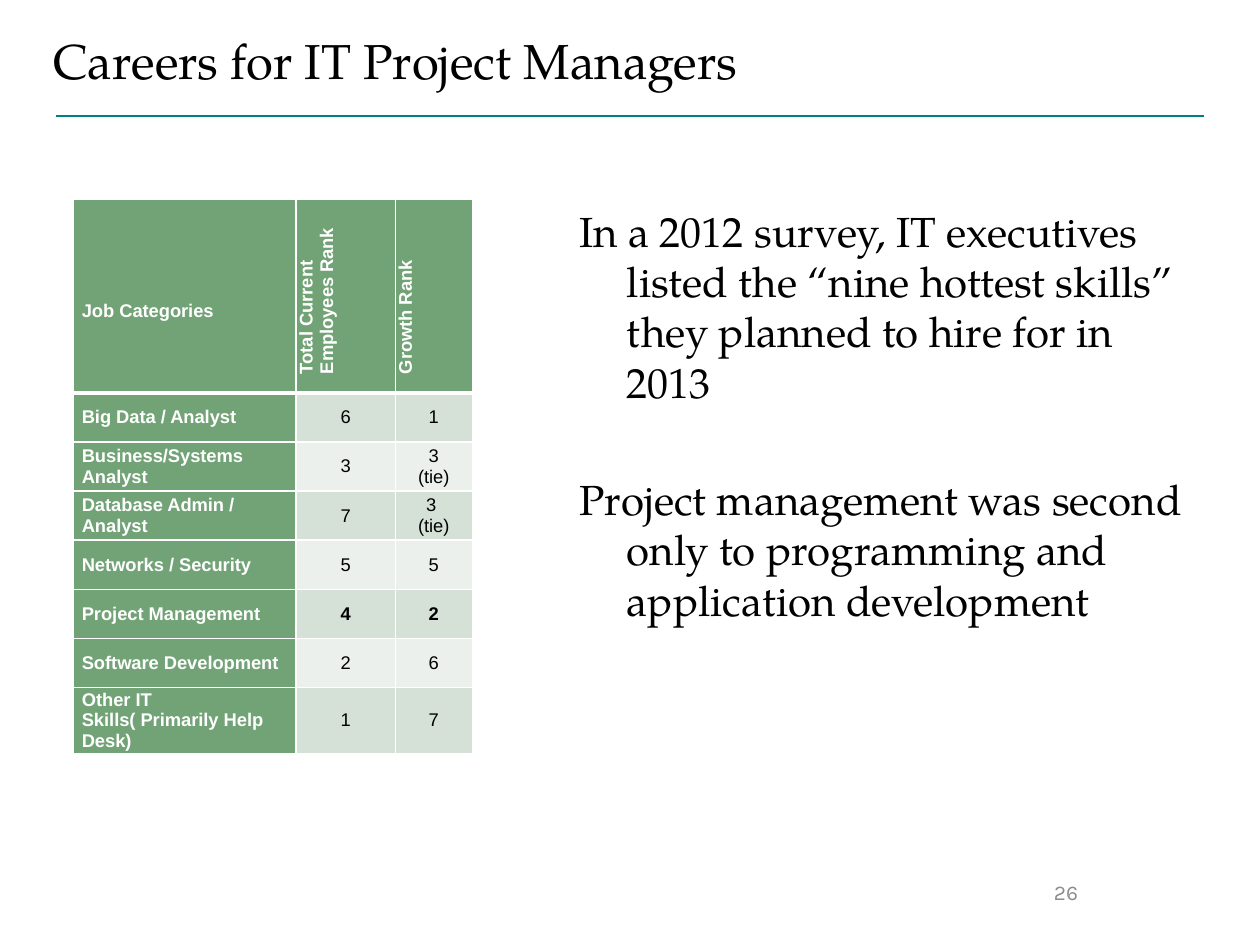
from lxml.etree import SubElement
from pptx import Presentation
from pptx.dml.color import RGBColor
from pptx.enum.shapes import MSO_CONNECTOR
from pptx.enum.text import MSO_ANCHOR, MSO_AUTO_SIZE, PP_ALIGN
from pptx.oxml.ns import qn
from pptx.util import Cm, Pt

COLORS = {"teal": "008080", "green": "72A376", "dark": "D5E0D6",
          "light": "EBF0EC", "white": "FFFFFF", "black": "000000",
          "gray": "8C8C8C"}
SERIF = "TeX Gyre Pagella"


def style(para, name, size, color, bold=False, align=PP_ALIGN.LEFT):
    para.alignment = align
    font = para.font
    font.name, font.size, font.bold = name, Pt(size), bold
    font.color.rgb = RGBColor.from_string(COLORS[color])


def edge(cell, side, width):
    line = SubElement(cell._tc.get_or_add_tcPr(), qn(f"a:ln{side}"), w=str(Pt(width)))
    fill = SubElement(line, qn("a:solidFill"))
    SubElement(fill, qn("a:srgbClr"), val=COLORS["white"])


deck = Presentation()
deck.slide_width, deck.slide_height = Cm(25.4), Cm(19.05)
slide = deck.slides.add_slide(deck.slide_layouts[5])
shapes = slide.shapes

# Title
title = shapes.title
title.left, title.top, title.width, title.height = Cm(1.07), Cm(1.07), Cm(23.16), Cm(0.86)
frame = title.text_frame
frame.text = "Careers for IT Project Managers"
frame.auto_size = MSO_AUTO_SIZE.NONE
frame.vertical_anchor = MSO_ANCHOR.BOTTOM
frame.margin_left = frame.margin_right = frame.margin_top = 0
frame.margin_bottom = Cm(0.13)
style(frame.paragraphs[0], SERIF, 28, "black")

# Rule under the title
rule = shapes.add_connector(MSO_CONNECTOR.STRAIGHT, Cm(1.12), Cm(2.34), Cm(24.28), Cm(2.34))
rule.line.color.rgb = RGBColor.from_string(COLORS["teal"])
rule.line.width = Pt(1.5)
SubElement(rule._element.spPr, qn("a:effectLst"))

# Survey text with hanging indents
body = shapes.add_textbox(Cm(11.43), Cm(4.01), Cm(12.9), Cm(11.94)).text_frame
body.word_wrap = True
body.text = (
    "In a 2012 survey, IT executives listed the “nine hottest skills” "
    "they planned to hire for in 2013\n"
    "Project management was second only to programming and application development")
for para, gap in zip(body.paragraphs, (4.8, 38)):
    style(para, SERIF, 24, "black")
    para.space_before = Pt(gap)
    props = para._p.get_or_add_pPr()
    props.set("marL", str(Cm(0.96)))
    props.set("indent", str(Cm(-0.96)))

# Table of job ranks
ROWS = [
    ("Job Categories", "Total Current\nEmployees Rank", "Growth Rank"),
    ("Big Data / Analyst", "6", "1"),
    ("Business/Systems Analyst", "3", "3\n(tie)"),
    ("Database Admin / Analyst", "7", "3 \n(tie)"),
    ("Networks / Security", "5", "5"),
    ("Project Management", "4", "2"),
    ("Software Development", "2", "6"),
    ("Other IT Skills( Primarily Help Desk)", "1", "7"),
]
WIDTHS = (4.5, 2.0, 1.55)
HEIGHTS = [3.91] + [0.99] * 6 + [1.23]
grid = shapes.add_table(len(ROWS), len(WIDTHS), Cm(1.47), Cm(4.01),
                        Cm(sum(WIDTHS)), Cm(sum(HEIGHTS))).table
for col, width in zip(grid.columns, WIDTHS):
    col.width = Cm(width)
for row, height in zip(grid.rows, HEIGHTS):
    row.height = Cm(height)

for r, texts in enumerate(ROWS):
    for c, text in enumerate(texts):
        cell = grid.cell(r, c)
        head, label = r == 0, r == 0 or c == 0
        cell.text = text
        cell.margin_left = cell.margin_right = Cm(0.18)
        cell.margin_top = cell.margin_bottom = 0
        cell.vertical_anchor = MSO_ANCHOR.MIDDLE
        for side in "LRTB":
            thick = (r, side) in ((0, "B"), (1, "T"))
            edge(cell, side, 3 if thick else 1)
        cell.fill.solid()
        shade = "green" if label else "dark" if r % 2 else "light"
        cell.fill.fore_color.rgb = RGBColor.from_string(COLORS[shade])
        for para in cell.text_frame.paragraphs:
            style(para, "Arial", 10.5, "white" if label else "black",
                  label or texts[0] == "Project Management",
                  PP_ALIGN.LEFT if label else PP_ALIGN.CENTER)
            if head and c:
                para._p.get_or_add_pPr().set("marL", str(Cm(0.2)))
        if head and c:
            cell._tc.get_or_add_tcPr().set("vert", "vert270")
        elif head:
            cell.vertical_anchor = MSO_ANCHOR.TOP
            cell.margin_top = Cm(2.06)

# Page number
page = shapes.add_textbox(Cm(18.85), Cm(17.35), Cm(5.28), Cm(1.27)).text_frame
page.word_wrap = True
page.vertical_anchor = MSO_ANCHOR.MIDDLE
page.text = "26"
style(page.paragraphs[0], "Karla", 12, "gray", align=PP_ALIGN.CENTER)

deck.save("out.pptx")
